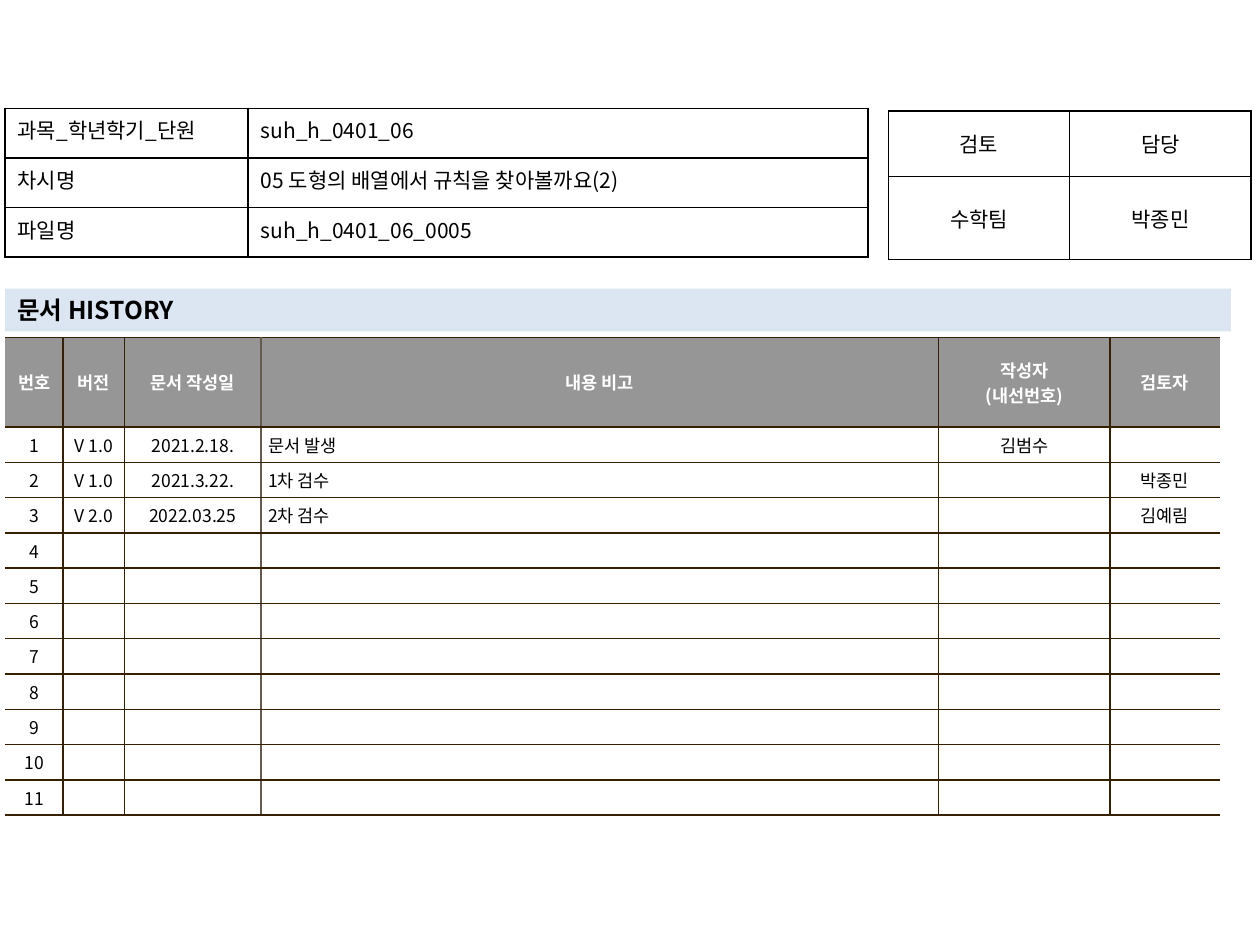
from lxml.etree import SubElement as Sub
from pptx import Presentation
from pptx.dml.color import RGBColor as Rgb
from pptx.enum.shapes import MSO_SHAPE as Shape
from pptx.enum.text import MSO_ANCHOR as Anchor, PP_ALIGN as Align
from pptx.oxml.ns import qn
from pptx.util import Inches, Pt

# Content
INFO = [
    ("과목_학년학기_단원", "suh_h_0401_06"),
    ("차시명", "05 도형의 배열에서 규칙을 찾아볼까요(2)"),
    ("파일명", "suh_h_0401_06_0005"),
]
REVIEW = [("검토", "담당"), ("수학팀", "박종민")]
TITLE = "문서 HISTORY"
HEAD = ("번호", "버전", "문서 작성일", "내용 비고", "작성자\n(내선번호)", "검토자")
LOG = [
    ("V 1.0", "2021.2.18.", "문서 발생", "김범수", ""),
    ("V 1.0", "2021.3.22.", "1차 검수", "", "박종민"),
    ("V 2.0", "2022.03.25", "2차 검수", "", "김예림"),
]
COUNT = 11


class Theme:
    font = "Noto Sans CJK KR"
    ink, white = "000000", "FFFFFF"
    head, band = "969696", "DCE6F2"
    rule, soft = "362000", "645B4C"
    small, body, title = 10, 12, 14


def put_text(frame, text, size=Theme.body, color=Theme.ink, bold=False,
             align=Align.LEFT, hang=0):
    """Fill a text frame, one paragraph per line."""
    for i, line in enumerate(text.split("\n")):
        para = frame.paragraphs[0] if i == 0 else frame.add_paragraph()
        para.alignment = align
        if hang:
            props = para._p.get_or_add_pPr()
            props.set("marL", str(Inches(hang)))
            props.set("indent", str(-Inches(hang)))
        if not line:  # keeps an empty row as low as the others
            para._p.get_or_add_endParaRPr().set("sz", str(size * 100))
            continue
        run = para.add_run()
        run.text = line
        font = run.font
        font.name, font.size, font.bold = Theme.font, Pt(size), bold
        font.color.rgb = Rgb.from_string(color)
        Sub(run._r.get_or_add_rPr(), qn("a:ea"), typeface=Theme.font)


def put_edges(cell, colors):
    """Draw left, right, top and bottom edges; None leaves one out."""
    props = cell._tc.get_or_add_tcPr()
    for side, color in zip("LRTB", colors):
        line = Sub(props, qn("a:ln" + side), w=str(Pt(1)))
        if color:
            fill = Sub(line, qn("a:solidFill"))
            Sub(fill, qn("a:srgbClr"), val=color)
        else:
            Sub(line, qn("a:noFill"))


def put_table(slide, left, top, cols, rows, data, style):
    """Add a table; style(row, col) gives edges, fill, anchor, inset, text format."""
    table = slide.shapes.add_table(
        len(rows), len(cols), Inches(left), Inches(top),
        Inches(sum(cols)), Inches(sum(rows))).table
    table.first_row = table.horz_banding = False
    for col, width in zip(table.columns, cols):
        col.width = Inches(width)
    for row, height in zip(table.rows, rows):
        row.height = Inches(height)
    for r, line in enumerate(data):
        for c, text in enumerate(line):
            cell = table.cell(r, c)
            edges, fill, anchor, inset, form = style(r, c)
            put_edges(cell, edges)
            if fill:
                cell.fill.solid()
                cell.fill.fore_color.rgb = Rgb.from_string(fill)
            else:
                cell.fill.background()
            cell.vertical_anchor = anchor
            cell.margin_left = cell.margin_right = Inches(inset[0])
            cell.margin_top = cell.margin_bottom = Inches(inset[1])
            put_text(cell.text_frame, text, **form)


def log_style(r, c):
    sides = (None, Theme.rule, Theme.rule, Theme.soft, Theme.rule, Theme.rule, None)
    edges = (sides[c], sides[c + 1], Theme.rule, Theme.rule)
    form = dict(size=Theme.small, align=Align.CENTER)
    if r == 0:
        form.update(color=Theme.white, bold=True)
    elif c == 3:
        form.update(align=Align.LEFT, hang=0.19)
    fill = Theme.white if r else Theme.head
    return edges, fill, Anchor.MIDDLE, (0.06, 0.04), form


def info_style(r, c):
    form = dict(align=Align.LEFT if c else Align.JUSTIFY)
    return [Theme.ink] * 4, None, Anchor.TOP, (0.1, 0.05), form


def review_style(r, c):
    form = dict(align=Align.CENTER)
    return [Theme.ink] * 4, None, Anchor.MIDDLE, (0.1, 0.05), form


def main():
    deck = Presentation()
    deck.slide_width, deck.slide_height = Inches(10), Inches(7.5)
    slide = deck.slides.add_slide(deck.slide_layouts[6])
    left = 0.04

    # History table
    blank = ("",) * (len(HEAD) - 1)
    lines = LOG + [blank] * (COUNT - len(LOG))
    data = [HEAD] + [(str(n), *line) for n, line in enumerate(lines, 1)]
    first, total = 0.71, 3.43
    rows = [first] + [(total - first) / COUNT] * COUNT
    put_table(slide, left, 2.68, [0.46, 0.49, 1.08, 5.38, 1.36, 0.87],
              rows, data, log_style)

    # Review table
    put_table(slide, 7.05, 0.88, [1.44] * 2, [0.52, 0.66], REVIEW, review_style)

    # Title band
    band = slide.shapes.add_shape(
        Shape.RECTANGLE, Inches(left), Inches(2.29), Inches(9.73), Inches(0.34))
    band.shadow.inherit = False
    band.fill.solid()
    band.fill.fore_color.rgb = Rgb.from_string(Theme.band)
    band.line.fill.background()
    band.text_frame.word_wrap = True
    band.text_frame.vertical_anchor = Anchor.MIDDLE
    put_text(band.text_frame, TITLE, size=Theme.title, bold=True)

    # File details table
    put_table(slide, left, 0.86, [1.93, 4.92], [1.18 / 3] * 3, INFO, info_style)

    deck.save("out.pptx")


if __name__ == "__main__":
    main()
